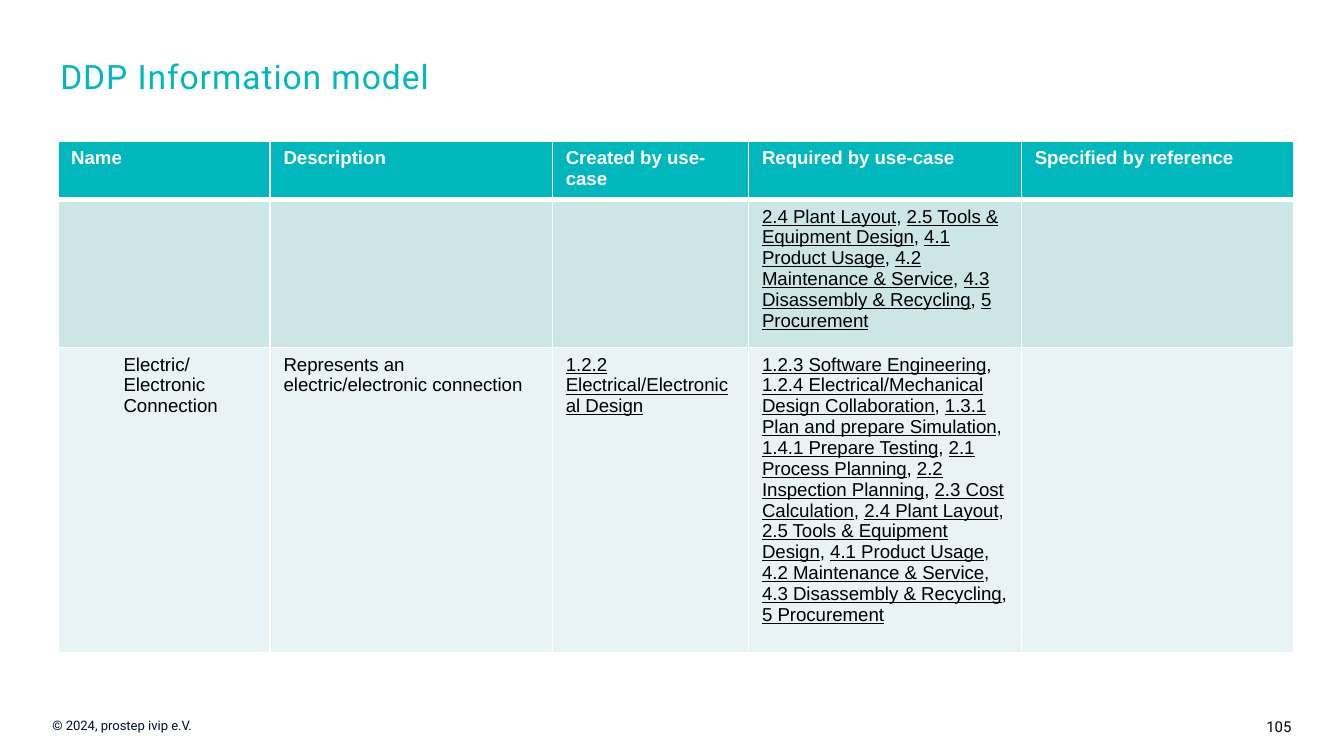
"""Build the DDP information model slide with its use-case table."""
from dataclasses import dataclass

from lxml import etree
from pptx import Presentation
from pptx.dml.color import RGBColor
from pptx.enum.text import MSO_ANCHOR, PP_ALIGN
from pptx.oxml.ns import qn
from pptx.util import Inches, Pt

TEAL = RGBColor(0x00, 0xB7, 0xBE)
MINT = RGBColor(0xCC, 0xE6, 0xE8)
PALE = RGBColor(0xE7, 0xF3, 0xF4)
NAVY = RGBColor(0x00, 0x0F, 0x2D)
BLACK = RGBColor(0x00, 0x00, 0x00)
WHITE = RGBColor(0xFF, 0xFF, 0xFF)
LEFT, RIGHT = PP_ALIGN.LEFT, PP_ALIGN.RIGHT
TOP = MSO_ANCHOR.TOP


@dataclass
class Label:
    text: str
    box: tuple[float, float, float, float]
    size: float
    color: RGBColor
    align: PP_ALIGN = LEFT
    left: float = 0.1
    right: float = 0.1
    spacing: float = 0


@dataclass
class Cell:
    texts: tuple[str, ...] = ()
    linked: bool = False
    indent: float = 0.1


@dataclass
class Row:
    height: float
    fill: RGBColor
    cells: list[Cell]
    header: bool = False


LABELS = [
    Label("105", (9.09, 5.29, 0.91, 0.24), 8, BLACK, RIGHT, right=0.39),
    Label("© 2024, prostep ivip e.V.", (0, 5.29, 2.4, 0.22), 7, NAVY, left=0.39),
    Label("DDP Information model", (0.35, 0.37, 7.49, 0.68), 18, TEAL, spacing=0.5),
]
HEADINGS = ("Name", "Description", "Created by use-case",
            "Required by use-case", "Specified by reference")
LATE_USES = ("2.4 Plant Layout", "2.5 Tools & Equipment Design", "4.1 Product Usage",
             "4.2 Maintenance & Service", "4.3 Disassembly & Recycling", "5 Procurement")
EARLY_USES = ("1.2.3 Software Engineering", "1.2.4 Electrical/Mechanical Design Collaboration",
              "1.3.1 Plan and prepare Simulation", "1.4.1 Prepare Testing",
              "2.1 Process Planning", "2.2 Inspection Planning", "2.3 Cost Calculation")
WIDTHS = (1.58, 2.1, 1.46, 2.03, 2.03)
ROWS = [
    Row(0.16, TEAL, [Cell((h,)) for h in HEADINGS], header=True),
    Row(0.16, MINT, [Cell(), Cell(), Cell(), Cell(LATE_USES, True), Cell()]),
    Row(2.17, PALE, [
        Cell(("Electric/Electronic Connection",), indent=0.49),
        Cell(("Represents an electric/electronic connection",)),
        Cell(("1.2.2 Electrical/Electronical Design",), True),
        Cell(EARLY_USES + LATE_USES, True),
        Cell(),
    ]),
]


def set_font(p, name: str, size: float, color: RGBColor, bold: bool = False) -> None:
    """Set the font shared by all runs of a paragraph."""
    font = p.font
    font.name, font.size, font.bold = name, Pt(size), bold
    font.color.rgb = color


def add_label(s, label: Label) -> None:
    """Add one text box."""
    tf = s.shapes.add_textbox(*map(Inches, label.box)).text_frame
    tf.word_wrap, tf.vertical_anchor = True, TOP
    tf.margin_left, tf.margin_right = Inches(label.left), Inches(label.right)
    p = tf.paragraphs[0]
    p.alignment = label.align
    r = p.add_run()
    r.text = label.text
    if label.spacing:
        r.font._element.set("spc", str(int(label.spacing * 100)))
    set_font(p, "Roboto", label.size, label.color)


def set_borders(cell, top: float, bottom: float) -> None:
    """Draw white borders, with the given top and bottom widths in points."""
    tc_pr = cell._tc.get_or_add_tcPr()
    for i, (side, width) in enumerate(zip("LRTB", (1, 1, top, bottom))):
        ln = etree.Element(qn(f"a:ln{side}"), w=str(Pt(width)))
        fill = etree.SubElement(ln, qn("a:solidFill"))
        etree.SubElement(fill, qn("a:srgbClr"), val=str(WHITE))
        tc_pr.insert(i, ln)


def fill_cell(cell, row: Row, content: Cell, top: float) -> None:
    """Style one table cell and write its comma-separated texts."""
    cell.fill.solid()
    cell.fill.fore_color.rgb = row.fill
    set_borders(cell, top, 3 if row.header else 1)
    cell.margin_left = Inches(content.indent)
    p = cell.text_frame.paragraphs[0]
    for i, text in enumerate(content.texts):
        if i:
            p.add_run().text = ", "
        r = p.add_run()
        r.text = text
        if content.linked:
            r.font.underline = True
    set_font(p, "Arial", 10, WHITE if row.header else BLACK, row.header)


def add_use_case_table(s, left: float, top: float, width: float, height: float) -> None:
    """Add the table of information objects and use-cases."""
    frame = s.shapes.add_table(len(ROWS), len(WIDTHS), Inches(left), Inches(top),
                               Inches(width), Inches(height))
    table = frame.table
    for column, column_width in zip(table.columns, WIDTHS):
        column.width = Inches(column_width)
    for i, row in enumerate(ROWS):
        table.rows[i].height = Inches(row.height)
        for j, content in enumerate(row.cells):
            fill_cell(table.cell(i, j), row, content, 3 if i == 1 else 1)
    frame.width, frame.height = Inches(width), Inches(height)


def main() -> None:
    """Create and save the presentation."""
    prs = Presentation()
    prs.slide_width, prs.slide_height = Inches(10), Inches(10 * 9 / 16)
    s = prs.slides.add_slide(prs.slide_layouts[6])
    for label in LABELS:
        add_label(s, label)
    add_use_case_table(s, 0.43, 1.05, 9.21, 1.03)
    prs.save("out.pptx")


if __name__ == "__main__":
    main()
